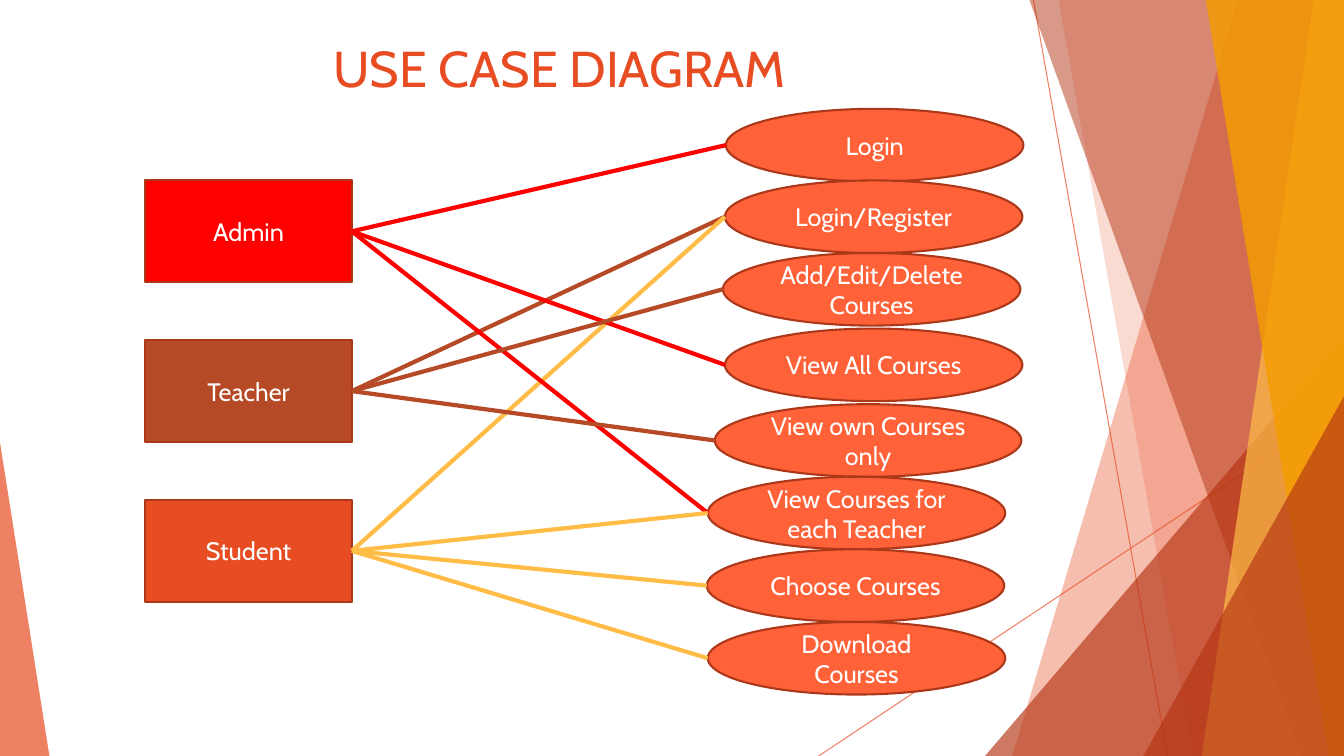
from lxml.etree import SubElement
from pptx import Presentation
from pptx.dml.color import RGBColor
from pptx.enum.shapes import MSO_CONNECTOR as Link, MSO_SHAPE as Shape
from pptx.enum.text import MSO_ANCHOR as Anchor, PP_ALIGN as Align
from pptx.oxml.ns import qn
from pptx.util import Inches, Pt

FONT = "Cabin"
COLORS = {
    "orange": "E84C22", "rust": "B53513", "gold": "FFBD47", "amber": "F49D00",
    "outline": "AC3819", "case": "FF6238", "red": "FF0000", "brown": "B64926",
    "white": "FFFFFF",
}
PAGE = (0, 0, 13.33, 7.5)
RAYS = [((10.25, 0), (11.58, 7.5)), ((13.33, 4.03), (8.12, 7.5))]
FACETS = [
    ("slice", (12.28, 10.04), "orange", 36),
    ("slice", (10.5, 11.83), "orange", 20),
    ("wedge", (9.77, 3.33, 3.56, 1), "rust", 66),
    ("slice", (10.21, 12.91), "rust", 50),
    ("slice", (13.03, 11.92), "gold", 70),
    ("slice", (11.96, 13.18), "amber", 80),
    ("wedge", (11.34, 3.93, 1.99, 1), "rust", 66),
    ("wedge", (0, 4.39, 0.49, 0), "orange", 70),
]
ACTORS = [("Admin", "red", "red"), ("Teacher", "brown", "brown"),
          ("Student", "orange", "gold")]
CASES = [
    ("Login", 7.2, 1.08, 2.95),
    ("Login/Register", 7.19, 1.79, 2.95),
    ("Add/Edit/Delete Courses", 7.17, 2.51, 2.95),
    ("View All Courses", 7.19, 3.26, 2.95),
    ("View own Courses only", 7.09, 4.01, 3.04),
    ("View Courses for each Teacher", 7.02, 4.73, 2.95),
    ("Choose Courses", 7.01, 5.45, 2.95),
    ("Download Courses", 7.02, 6.17, 2.95),
]
LINKS = [
    ("Admin", "Login"),
    ("Teacher", "Login/Register"),
    ("Student", "Login/Register"),
    ("Student", "Download Courses"),
    ("Student", "Choose Courses"),
    ("Admin", "View Courses for each Teacher"),
    ("Student", "View Courses for each Teacher"),
    ("Admin", "View All Courses"),
    ("Teacher", "Add/Edit/Delete Courses"),
    ("Teacher", "View own Courses only"),
]


def paint(color_format, name, opacity=100):
    """Give a fill or line a solid colour with an opacity in percent."""
    color_format.solid()
    color_format.fore_color.rgb = RGBColor.from_string(COLORS[name])
    if opacity < 100:
        color = color_format.fore_color._xFill[0]
        SubElement(color, qn("a:alpha")).set("val", str(opacity * 1000))


def write(shape, text, size, color):
    """Write one centred run in the middle of a shape."""
    frame = shape.text_frame
    frame.word_wrap = True
    frame.vertical_anchor = Anchor.MIDDLE
    para = frame.paragraphs[0]
    para.alignment = Align.CENTER
    span = para.add_run()
    span.text = text
    span.font.size = Pt(size)
    span.font.name = FONT
    span.font.color.rgb = RGBColor.from_string(COLORS[color])


def add_line(page, start, end, color, width, opacity=100):
    """Draw a straight line without a shadow between two points in inches."""
    line = page.shapes.add_connector(
        Link.STRAIGHT, *(Inches(value) for value in (*start, *end)))
    paint(line.line.fill, color, opacity)
    line.line.width = Pt(width)
    SubElement(line._element.spPr, qn("a:effectLst"))
    return line


def add_node(page, kind, box, text, fill):
    """Draw an outlined, labelled shape of the diagram."""
    node = page.shapes.add_shape(kind, *(Inches(value) for value in box))
    node.shadow.inherit = False
    paint(node.fill, fill)
    paint(node.line.fill, "outline")
    node.line.width = Pt(1.5)
    write(node, text, 18, "white")
    return node


def add_slice(page, box, top_x, bottom_x):
    """Draw a full-height facet that reaches the right edge of the box."""
    left, top, width, height = box
    right, bottom = left + width, top + height
    corners = [(right, top), (right, bottom), (left + bottom_x, bottom)]
    builder = page.shapes.build_freeform(Inches(left + top_x), Inches(top))
    builder.add_line_segments([(Inches(x), Inches(y)) for x, y in corners])
    return builder.convert_to_shape()


def add_wedge(page, box, x, y, width, peak):
    """Draw a triangle that stands on the bottom edge of the box."""
    left, top, _, height = box
    wedge = page.shapes.add_shape(
        Shape.ISOSCELES_TRIANGLE, Inches(left + x), Inches(top + y),
        Inches(width), Inches(height - y))
    wedge.adjustments[0] = peak
    return wedge


def add_backdrop(page, box):
    """Draw the thin rays and translucent facets behind the diagram."""
    left, top = box[:2]
    for ray in RAYS:
        start, end = [(left + x, top + y) for x, y in ray]
        add_line(page, start, end, "orange", 0.75, 70)
    draw = {"slice": add_slice, "wedge": add_wedge}
    for kind, measures, color, opacity in FACETS:
        facet = draw[kind](page, box, *measures)
        facet.shadow.inherit = False
        paint(facet.fill, color, opacity)
        facet.line.fill.background()


def add_title(page, box):
    """Write the heading of the slide."""
    title = page.shapes.add_textbox(*(Inches(value) for value in box))
    write(title, "USE CASE DIAGRAM", 36, "orange")


def add_diagram(page, box):
    """Draw actors and use cases, and link each actor to its use cases."""
    left, top = box[:2]
    actors, cases, link_colors = {}, {}, {}
    for index, (name, fill, link_color) in enumerate(ACTORS):
        place = (left + 1.44, top + 1.79 + index * 1.585, 2.05, 1.01)
        actors[name] = add_node(page, Shape.RECTANGLE, place, name, fill)
        link_colors[name] = link_color
    for name, x, y, width in CASES:
        place = (left + x, top + y, width, 0.72)
        cases[name] = add_node(page, Shape.OVAL, place, name, "case")
    for actor, case in LINKS:
        oval = cases[case]
        link = add_line(page, (0, 0), (1, 1), link_colors[actor], 3)
        link.begin_connect(actors[actor], 3)
        link.end_connect(oval, 2)
        link.end_x = oval.left
        link.end_y = oval.top + oval.height // 2


def main():
    """Build the slide and save the deck."""
    deck = Presentation()
    deck.slide_width, deck.slide_height = Inches(PAGE[2]), Inches(PAGE[3])
    page = deck.slides.add_slide(deck.slide_layouts[6])
    add_backdrop(page, PAGE)
    add_title(page, (0.85, 0.28, 9.4, 0.78))
    add_diagram(page, PAGE)
    deck.save("out.pptx")


if __name__ == "__main__":
    main()
